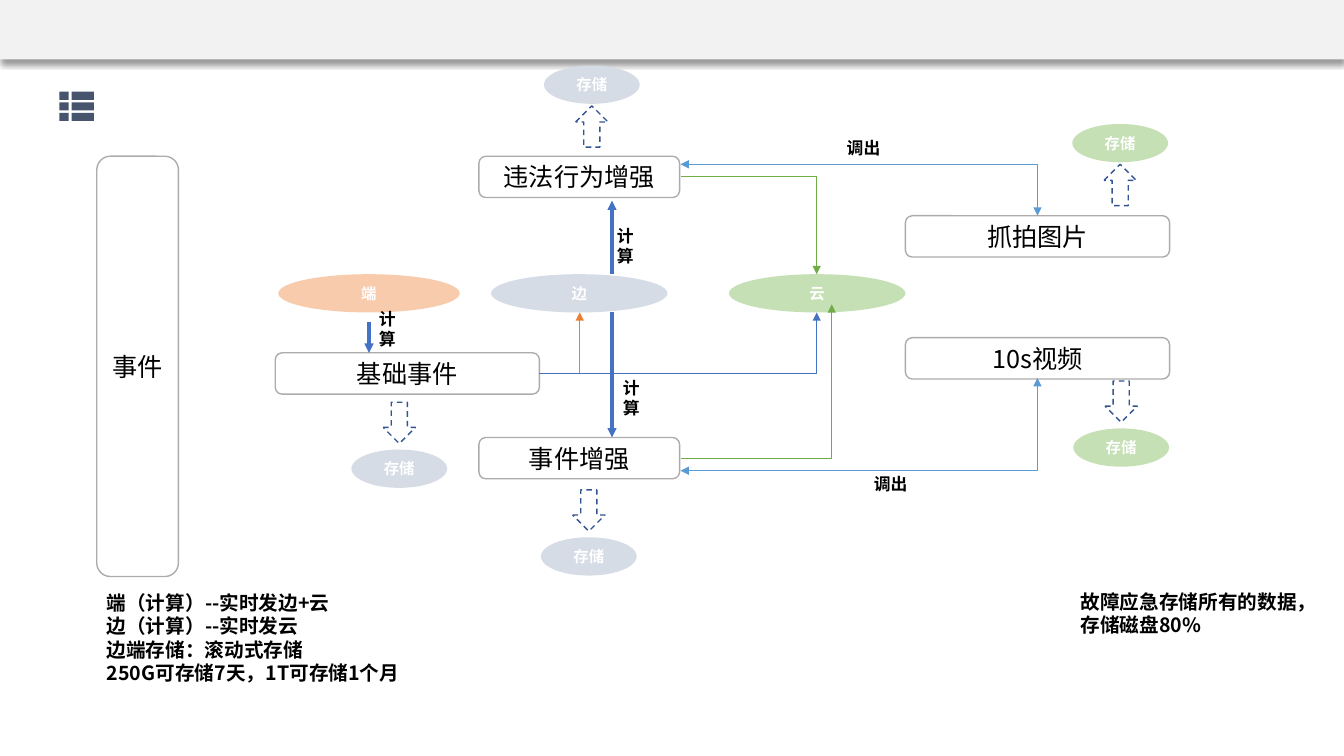
from lxml.etree import SubElement
from pptx import Presentation
from pptx.dml.color import RGBColor
from pptx.enum.dml import MSO_LINE
from pptx.enum.shapes import MSO_CONNECTOR, MSO_SHAPE
from pptx.enum.text import MSO_ANCHOR, PP_ALIGN
from pptx.oxml.ns import qn
from pptx.util import Inches, Pt

FONT = "Noto Sans CJK SC"
GREY, PEACH, LEAF = "D6DCE5", "F8CBAD", "C5E0B4"
BLUE, SKY, GREEN, RUST = "4472C4", "5B9BD5", "70AD47", "ED7D31"
NODE_H, OVAL_H = 0.41, 0.38


def paint(fmt, color):
    fmt.solid()
    fmt.fore_color.rgb = RGBColor.from_string(color)


def write(frame, lines, size, color="000000", bold=False, align=PP_ALIGN.LEFT):
    frame.word_wrap = True
    for i, line in enumerate(lines):
        para = frame.paragraphs[0] if i == 0 else frame.add_paragraph()
        para.alignment = align
        run = para.add_run()
        run.text = line
        run.font.size, run.font.bold, run.font.name = Pt(size), bold, FONT
        paint(run.font.fill, color)
        east = SubElement(run.font._element, qn("a:ea"))
        east.set("typeface", FONT)


def add_form(slide, kind, box, fill=None, line=None):
    form = slide.shapes.add_shape(kind, *map(Inches, box))
    form.shadow.inherit = False
    if fill:
        paint(form.fill, fill)
    else:
        form.fill.background()
    if line:
        paint(form.line.fill, line)
        form.line.width = Pt(1)
    else:
        form.line.fill.background()
    return form


def add_node(slide, box, label):
    node = add_form(slide, MSO_SHAPE.ROUNDED_RECTANGLE, box, line="AFABAB")
    node.text_frame.vertical_anchor = MSO_ANCHOR.MIDDLE
    write(node.text_frame, [label], 18, align=PP_ALIGN.CENTER)


def add_oval(slide, box, label, fill):
    oval = add_form(slide, MSO_SHAPE.OVAL, box, fill)
    oval.text_frame.vertical_anchor = MSO_ANCHOR.MIDDLE
    write(oval.text_frame, [label], 11, "FFFFFF", True, PP_ALIGN.CENTER)


def add_store(slide, mid, top, fill, up=False):
    """A dashed arrow that leads to a storage oval, above or below it."""
    wide, tall, oval_w = 0.32, 0.41, 0.95
    if up:
        kind, oval_y, arrow_y = MSO_SHAPE.UP_ARROW, top, top + OVAL_H + 0.02
    else:
        kind, oval_y, arrow_y = MSO_SHAPE.DOWN_ARROW, top + tall + 0.06, top
    arrow = add_form(slide, kind, (mid - wide / 2, arrow_y, wide, tall), line="325491")
    arrow.line.dash_style = MSO_LINE.DASH
    add_oval(slide, (mid - oval_w / 2, oval_y, oval_w, OVAL_H), "存储", fill)


def add_link(slide, ends, color, width, bent=False, both=False):
    kind = MSO_CONNECTOR.ELBOW if bent else MSO_CONNECTOR.STRAIGHT
    link = slide.shapes.add_connector(kind, *map(Inches, ends))
    paint(link.line.fill, color)
    link.line.width = Pt(width)
    props = link._element.spPr
    if bent:
        props.find(qn("a:prstGeom")).set("prst", "bentConnector2")
    for tip in ("a:headEnd", "a:tailEnd") if both else ("a:tailEnd",):
        SubElement(props.find(qn("a:ln")), qn(tip)).set("type", "triangle")
    SubElement(props, qn("a:effectLst"))


def add_note(slide, box, lines, size):
    note = slide.shapes.add_textbox(*map(Inches, box))
    write(note.text_frame, lines, size, bold=True)


def add_header(slide, box):
    band = add_form(slide, MSO_SHAPE.RECTANGLE, box, "F2F2F2")
    effects = band._element.spPr.find(qn("a:effectLst"))
    shade = SubElement(effects, qn("a:outerShdw"), blurRad=str(Pt(4)),
                       dist=str(Pt(3)), dir="5400000", rotWithShape="0")
    black = SubElement(shade, qn("a:srgbClr"), val="000000")
    SubElement(black, qn("a:alpha"), val="40000")


def add_icon(slide, left, top):
    """Three rows, each a small block and a long one."""
    path = None
    for row in range(3):
        for dx, wide in ((0, 0.09), (0.12, 0.22)):
            x, y = left + dx, top + row * 0.105
            pts = [(x, y), (x + wide, y), (x + wide, y + 0.08), (x, y + 0.08)]
            first, *rest = [(Inches(a), Inches(b)) for a, b in pts]
            if path is None:
                path = slide.shapes.build_freeform(*first)
            else:
                path.move_to(*first)
            path.add_line_segments(rest, close=True)
    icon = path.convert_to_shape()
    icon.shadow.inherit = False
    paint(icon.fill, "47546D")
    icon.line.fill.background()


def add_flow(slide, left, top):
    """The event diagram, placed from the corner of its tall box."""
    def at(x, y, *size):
        return (left + x, top + y, *size)

    def span(x1, y1, x2, y2):
        return at(x1, y1) + at(x2, y2)

    # Event boxes
    add_node(slide, at(0, 0, 0.81, 4.17), "事件")
    for x, y, wide, label in (
        (1.77, 1.95, 2.62, "基础事件"),
        (3.79, 2.79, 1.99, "事件增强"),
        (3.79, 0, 1.99, "违法行为增强"),
        (8.02, 0.59, 2.62, "抓拍图片"),
        (8.02, 1.8, 2.62, "10s视频"),
    ):
        add_node(slide, at(x, y, wide, NODE_H), label)

    # Device, edge and cloud
    for x, wide, label, fill in (
        (3.91, 1.75, "边", GREY), (1.8, 1.8, "端", PEACH), (6.27, 1.75, "云", LEAF),
    ):
        add_oval(slide, at(x, 1.17, wide, OVAL_H), label, fill)

    # Computing arrows
    for ends in ((2.7, 1.64, 2.7, 1.95), (5.11, 1.55, 5.11, 2.79), (5.11, 1.17, 5.11, 0.44)):
        add_link(slide, span(*ends), BLUE, 2.25)

    # Reports to edge and cloud
    for ends, color in (
        ((4.39, 2.15, 4.79, 1.55), RUST),
        ((4.39, 2.15, 7.14, 1.55), BLUE),
        ((5.79, 0.2, 7.14, 1.17), GREEN),
        ((5.79, 3.0, 7.29, 1.47), GREEN),
    ):
        add_link(slide, span(*ends), color, 0.5, bent=True)

    # Retrieval links
    for ends in ((5.79, 0.08, 9.33, 0.59), (5.79, 3.12, 9.33, 2.2)):
        add_link(slide, span(*ends), SKY, 1, bent=True, both=True)

    # Storage
    for x, y, fill, up in (
        (4.88, 3.31, GREY, False), (4.91, -0.9, GREY, True),
        (10.15, -0.32, LEAF, True), (10.16, 2.23, LEAF, False),
        (3.0, 2.44, GREY, False),
    ):
        add_store(slide, left + x, top + y, fill, up)

    # Arrow labels
    for x, y in ((5.06, 0.64), (5.12, 2.15), (2.7, 1.46)):
        add_note(slide, at(x, y, 0.31, 0.5), ["计", "算"], 12)
    for x, y in ((7.34, -0.23), (7.61, 3.1)):
        add_note(slide, at(x, y, 0.54, 0.3), ["调出"], 12)


def main():
    deck = Presentation()
    deck.slide_width, deck.slide_height = Inches(13.33), Inches(7.5)
    slide = deck.slides.add_slide(deck.slide_layouts[6])
    add_header(slide, (0, 0, 13.33, 0.59))
    add_icon(slide, 0.59, 0.91)
    add_flow(slide, 0.96, 1.55)
    # Footnotes
    add_note(slide, (0.96, 5.81, 3.31, 1.04), [
        "端（计算）--实时发边+云",
        "边（计算）--实时发云",
        "边端存储：滚动式存储",
        "250G可存储7天，1T可存储1个月",
    ], 14)
    add_note(slide, (10.62, 5.8, 2.45, 0.57), ["故障应急存储所有的数据，存储磁盘80%"], 14)
    deck.save("out.pptx")


if __name__ == "__main__":
    main()
